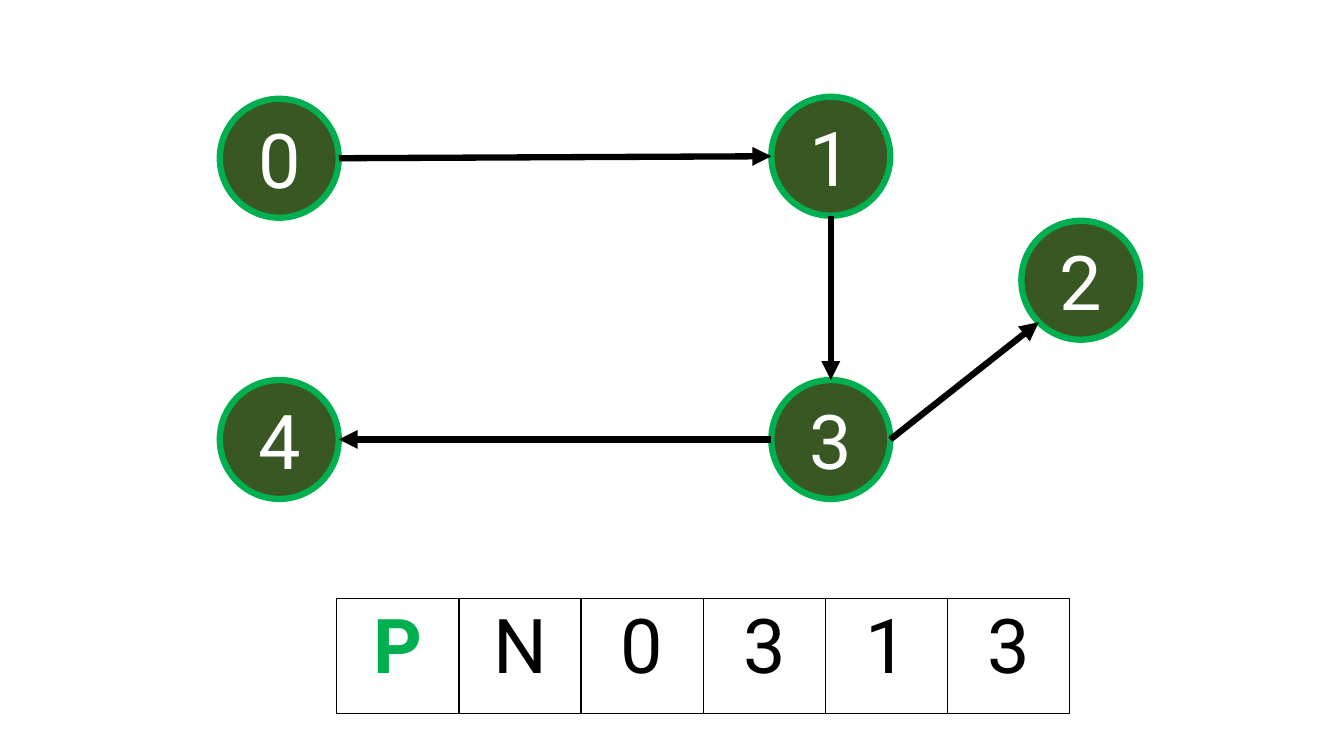
import math
from dataclasses import dataclass

from lxml import etree
from pptx import Presentation
from pptx import util as u
from pptx.dml.color import RGBColor
from pptx.enum import shapes, text
from pptx.oxml.ns import qn


@dataclass(frozen=True)
class Theme:
    font: str = "Roboto"
    size: float = 54
    line: float = 4.5
    border: float = 1
    node: str = "385723"
    accent: str = "00B050"
    light: str = "FFFFFF"
    dark: str = "000000"


NODE_SIZE = 1.18
NODES = {  # label: left, top
    "0": (2.18, 0.98),
    "3": (7.65, 3.77),
    "1": (7.65, 0.96),
    "2": (10.13, 2.19),
    "4": (2.18, 3.77),
}

# Connection sites of an ellipse, counted anticlockwise from the top
TOP, LEFT, BOTTOM_LEFT, BOTTOM, RIGHT = 0, 2, 3, 4, 6
EDGES = [
    ("0", RIGHT, "1", LEFT),
    ("1", BOTTOM, "3", TOP),
    ("3", LEFT, "4", RIGHT),
    ("3", RIGHT, "2", BOTTOM_LEFT),
]
PARENTS = ["P", "N", "0", "3", "1", "3"]


def site_point(node, site):
    angle = math.radians(90 + 45 * site)
    r = node.width / 2
    return (round(node.left + r + r * math.cos(angle)),
            round(node.top + r - r * math.sin(angle)))


class GraphSlide:
    def __init__(self, prs, theme):
        self.t = theme
        self.s = prs.slides.add_slide(prs.slide_layouts[6])

    def add_label(self, tf, label, color, bold=False):
        p = tf.paragraphs[0]
        p.alignment = text.PP_ALIGN.CENTER
        r = p.add_run()
        r.text = label
        r.font.name = self.t.font
        r.font.size = u.Pt(self.t.size)
        r.font.bold = bold
        r.font.color.rgb = RGBColor.from_string(color)

    def node(self, label, left, top):
        sp = self.s.shapes.add_shape(
            shapes.MSO_SHAPE.OVAL, u.Inches(left), u.Inches(top),
            u.Inches(NODE_SIZE), u.Inches(NODE_SIZE))
        sp.shadow.inherit = False
        sp.fill.solid()
        sp.fill.fore_color.rgb = RGBColor.from_string(self.t.node)
        sp.line.color.rgb = RGBColor.from_string(self.t.accent)
        sp.line.width = u.Pt(self.t.line)
        sp.text_frame.vertical_anchor = text.MSO_ANCHOR.MIDDLE
        self.add_label(sp.text_frame, label, self.t.light)
        return sp

    def arrow(self, start, start_site, end, end_site):
        """Join two ellipses; begin_connect knows only the four sites of a rectangle."""
        cx = self.s.shapes.add_connector(
            shapes.MSO_CONNECTOR.STRAIGHT,
            *site_point(start, start_site), *site_point(end, end_site))
        cx.line.color.rgb = RGBColor.from_string(self.t.dark)
        cx.line.width = u.Pt(self.t.line)
        sp_pr = cx._element.spPr
        etree.SubElement(sp_pr.find(qn("a:ln")), qn("a:tailEnd"), type="triangle")
        etree.SubElement(sp_pr, qn("a:effectLst"))
        joints = cx._element.find(".//" + qn("p:cNvCxnSpPr"))
        for tag, node, site in (("a:stCxn", start, start_site),
                                ("a:endCxn", end, end_site)):
            etree.SubElement(joints, qn(tag), id=str(node.shape_id), idx=str(site))

    def border(self, cell):
        tc_pr = cell._tc.get_or_add_tcPr()
        for i, side in enumerate("LRTB"):
            ln = etree.Element(qn(f"a:ln{side}"), w=str(u.Pt(self.t.border)))
            fill = etree.SubElement(ln, qn("a:solidFill"))
            etree.SubElement(fill, qn("a:srgbClr"), val=self.t.dark)
            tc_pr.insert(i, ln)

    def table_row(self, labels, left, top, width, height):
        """Add a one-row table whose first cell is the accented heading."""
        tbl = self.s.shapes.add_table(
            1, len(labels), u.Inches(left), u.Inches(top),
            u.Inches(width), u.Inches(height)).table
        tbl.first_row = tbl.horz_banding = False
        for i, label in enumerate(labels):
            cell = tbl.cell(0, i)
            cell.fill.background()
            self.border(cell)
            heading = i == 0
            color = self.t.accent if heading else self.t.dark
            self.add_label(cell.text_frame, label, color, bold=heading)


def main():
    prs = Presentation()
    prs.slide_width, prs.slide_height = u.Inches(13.33), u.Inches(7.5)
    graph = GraphSlide(prs, Theme())
    nodes = {label: graph.node(label, *at) for label, at in NODES.items()}
    graph.table_row(PARENTS, 3.34, 5.94, 7.27, 1.14)
    for start, start_site, end, end_site in EDGES:
        graph.arrow(nodes[start], start_site, nodes[end], end_site)
    prs.save("out.pptx")


if __name__ == "__main__":
    main()
